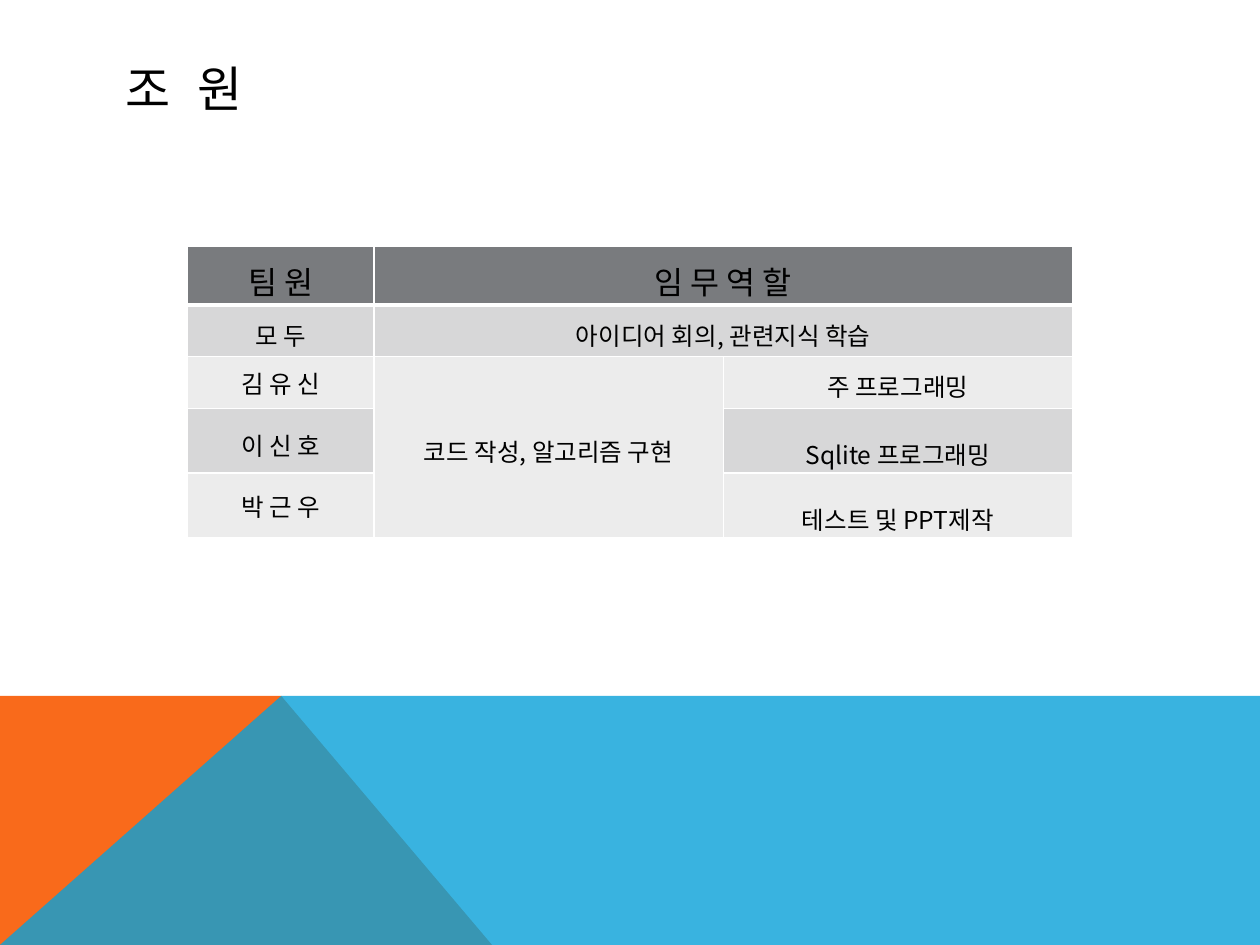
import pptx
import pptx.util
import pptx.dml.color
import pptx.enum.text
import pptx.oxml
import pptx.oxml.ns
from pptx.util import Cm, Pt

HANGUL = "Noto Sans CJK KR"
BLACK, WHITE = "000000", "FFFFFF"
HEADER, DARK, LIGHT = "797B7E", "D7D7D8", "ECECEC"
CENTER = pptx.enum.text.PP_ALIGN.CENTER
MIDDLE = pptx.enum.text.MSO_ANCHOR.MIDDLE
COLUMN_WIDTHS = (3.76, 7.04, 7.04)
ROW_HEIGHTS = (1.18, 1.04, 1.04, 1.31, 1.31)
# row, column, text, fill, line spacing, hanging indent in cm
CELLS = [
    (0, 0, "팀 원", HEADER, 1.2, 0),
    (0, 1, "임 무 역 할", HEADER, 1.2, 0),
    (1, 0, "모 두", DARK, 1.2, 0),
    (1, 1, "아이디어 회의, 관련지식 학습", DARK, 1.2, 0),
    (2, 0, "김 유 신", LIGHT, 1, 0),
    (2, 1, "코드 작성, 알고리즘 구현", LIGHT, 1.2, 0),
    (2, 2, "주 프로그래밍", LIGHT, 1.2, 0),
    (3, 0, "이 신 호", DARK, 1.2, 0),
    (3, 2, "Sqlite 프로그래밍", DARK, 1.7, 1.37),
    (4, 0, "박 근 우", LIGHT, 1, 0),
    (4, 2, "테스트 및 PPT제작", LIGHT, 1.7, 1.37),
]
MERGES = [((0, 1), (0, 2)), ((1, 1), (1, 2)), ((2, 1), (4, 1))]


def rgb(color):
    """Turn a hex string into a colour."""
    return pptx.dml.color.RGBColor.from_string(color)


def add_xml(parent, tag, **attrs):
    """Append a drawing element with attributes and return it."""
    el = pptx.oxml.parse_xml(f"<{tag} {pptx.oxml.ns.nsdecls('a')}/>")
    for name, value in attrs.items():
        el.set(name, str(value))
    parent.append(el)
    return el


def set_text(tf, text, size, latin):
    """Write one paragraph with its font and return it."""
    p = tf.paragraphs[0]
    r = p.add_run()
    r.text = text
    r.font.size, r.font.name = Pt(size), latin
    r.font.color.rgb = rgb(BLACK)
    add_xml(r._r.get_or_add_rPr(), "a:ea", typeface=HANGUL)
    return p


def add_polygon(s, points, color, alpha=100):
    """Draw a filled polygon from points in cm."""
    points = [(Cm(x), Cm(y)) for x, y in points]
    fb = s.shapes.build_freeform(*points[0], scale=1.0)
    fb.add_line_segments(points[1:], close=True)
    sp = fb.convert_to_shape()
    sp.shadow.inherit = False
    sp.fill.solid()
    sp.fill.fore_color.rgb = rgb(color)
    sp.line.fill.background()
    if alpha < 100:
        clr = sp._element.spPr.find(".//" + pptx.oxml.ns.qn("a:srgbClr"))
        add_xml(clr, "a:alpha", val=alpha * 1000)


def add_title(s, text):
    """Add the slide heading, slightly letter-spaced."""
    tf = s.shapes.add_textbox(Cm(2.29), Cm(1.02), Cm(20.88), Cm(1.52)).text_frame
    tf.word_wrap = True
    tf.vertical_anchor = MIDDLE
    p = set_text(tf, text, 28, "Roboto")
    p.runs[0]._r.get_or_add_rPr().set("spc", "100")


def style_cell(cell, color, bottom):
    """Set margins, white borders and fill of a cell."""
    cell.margin_left = cell.margin_right = Cm(0.18)
    cell.margin_top = cell.margin_bottom = Cm(0.05)
    cell.vertical_anchor = MIDDLE
    tcPr = cell._tc.get_or_add_tcPr()
    for side, width in (("L", 1), ("R", 1), ("T", 1), ("B", bottom)):
        ln = add_xml(tcPr, "a:ln" + side, w=Pt(width))
        add_xml(add_xml(ln, "a:solidFill"), "a:srgbClr", val=WHITE)
    cell.fill.solid()
    cell.fill.fore_color.rgb = rgb(color)


def add_roles_table(s):
    """Add the table of members and their roles."""
    table = s.shapes.add_table(len(ROW_HEIGHTS), len(COLUMN_WIDTHS), Cm(3.78), Cm(4.97),
                               Cm(sum(COLUMN_WIDTHS)), Cm(sum(ROW_HEIGHTS))).table
    for col, width in zip(table.columns, COLUMN_WIDTHS):
        col.width = Cm(width)
    for row, height in zip(table.rows, ROW_HEIGHTS):
        row.height = Cm(height)
    for first, last in MERGES:
        table.cell(*first).merge(table.cell(*last))
    fills = {(row, col): color for row, col, _, color, _, _ in CELLS}
    for row in range(len(ROW_HEIGHTS)):
        for col in range(len(COLUMN_WIDTHS)):
            color = fills.get((row, col), fills[min(row, 2), 1])
            style_cell(table.cell(row, col), color, 1 if row else 3)
    for row, col, text, _, spacing, indent in CELLS:
        p = set_text(table.cell(row, col).text_frame, text, 14 if row else 18, HANGUL)
        p.alignment, p.line_spacing = CENTER, spacing
        if indent:
            pPr = p._p.get_or_add_pPr()
            pPr.set("marL", str(Cm(indent)))
            pPr.set("indent", str(-Cm(indent)))


def main():
    """Build the slide and save it."""
    prs = pptx.Presentation()
    prs.slide_width, prs.slide_height = Cm(25.4), Cm(19.05)
    s = prs.slides.add_slide(prs.slide_layouts[6])
    top, bottom, peak = 14.03, 19.05, 5.67
    add_polygon(s, [(0, bottom), (0, top), (peak, top), (9.92, bottom)], "F96A1B")
    add_polygon(s, [(0, bottom), (peak, top), (25.4, top), (25.4, bottom)], "08A1D9", 80)
    add_title(s, "조  원")
    add_roles_table(s)
    prs.save("out.pptx")


main()
